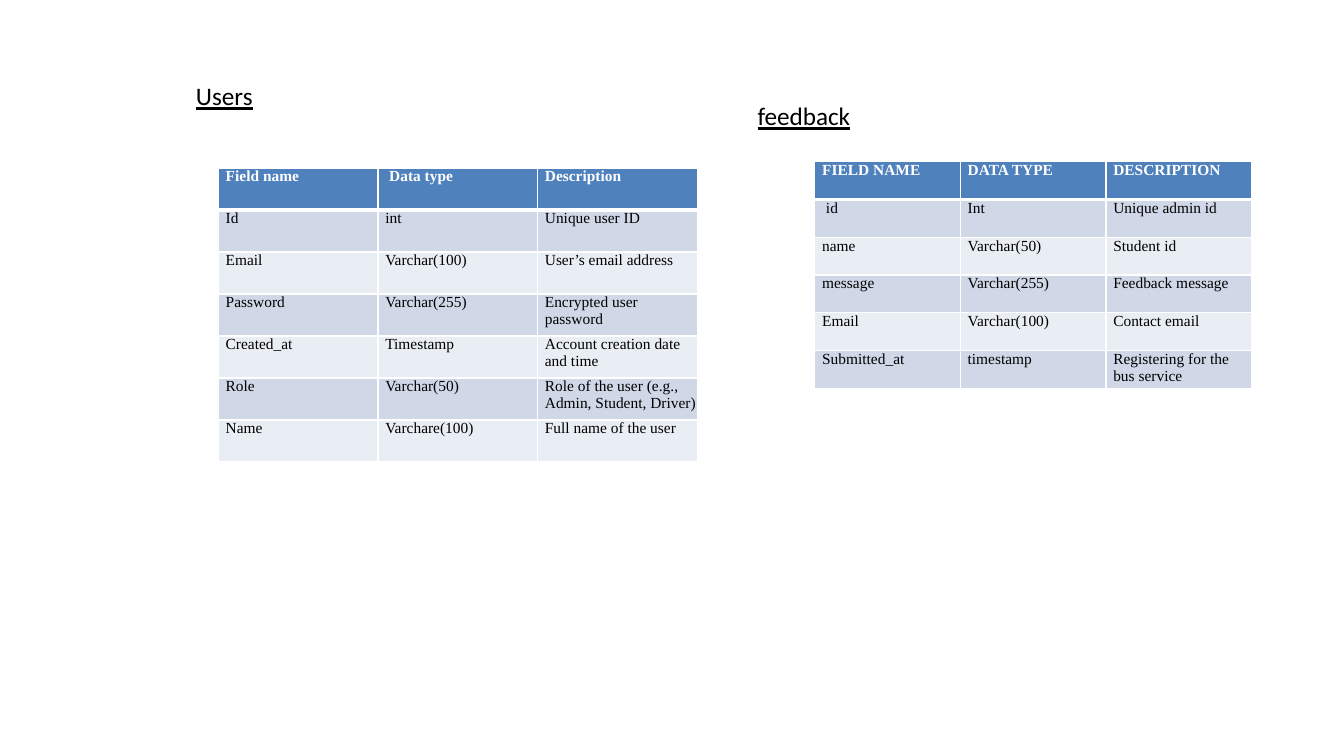
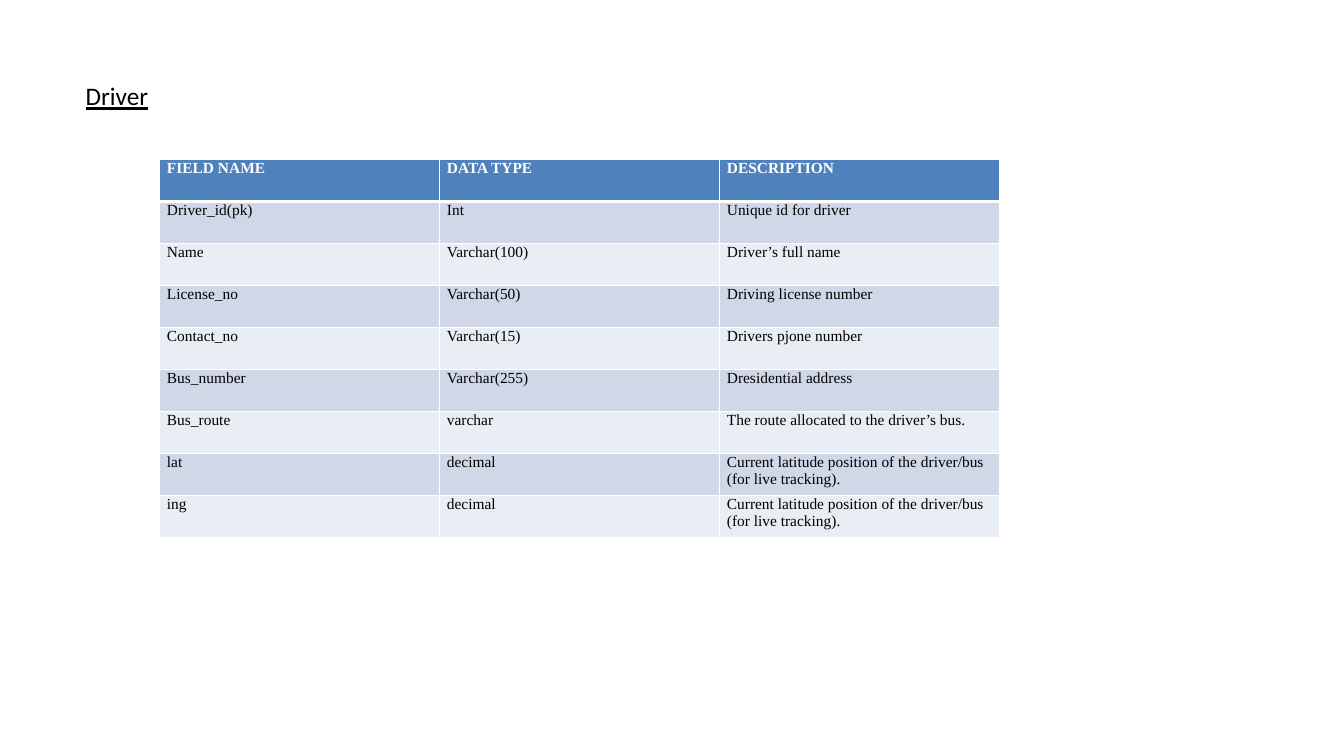
import pptx
import pptx.dml.color
import pptx.enum.text
import pptx.oxml.ns
import pptx.util
from lxml import etree

PX = 9525
TITLE_ONLY = 5

THEME = {
    "header": "4F81BD",
    "bands": ("D0D8E8", "E9EDF4"),
    "rule": "FFFFFF",
    "thin": 1,
    "thick": 3,
    "heading": {"name": "Calibri", "size": 18, "color": "000000", "underline": True},
    "head_cell": {"name": "Times New Roman", "size": 11, "color": "FFFFFF", "bold": True},
    "body_cell": {"name": "Times New Roman", "size": 11, "color": "000000", "bold": False},
    "cell_indent": 7,
    "cell_space": 3.1,
}

CAPS = ("FIELD NAME", "DATA TYPE", "DESCRIPTION")

USERS = {
    "heading": "Users", "heading_box": (112, 72, 576, 38), "heading_indent": 65,
    "table_box": (208, 160, 456, 280),
    "rows": [
        ("Field name", " Data type", "Description"),
        ("Id", "int", "Unique user ID"),
        ("Email", "Varchar(100)", "User’s email address"),
        ("Password", "Varchar(255)", "Encrypted user password"),
        ("Created_at", "Timestamp", "Account creation date and time"),
        ("Role", "Varchar(50)", "Role of the user (e.g., Admin, Student, Driver)"),
        ("Name", "Varchare(100)", "Full name of the user"),
    ],
}
FEEDBACK = {
    "heading": "feedback", "heading_box": (712, 91, 176, 38), "heading_indent": 0,
    "table_box": (776, 154, 416, 216),
    "rows": [
        CAPS,
        (" id", "Int", "Unique admin id"),
        ("name", "Varchar(50)", "Student id"),
        ("message", "Varchar(255)", "Feedback message"),
        ("Email", "Varchar(100)", "Contact email"),
        ("Submitted_at", "timestamp", "Registering for the bus service"),
    ],
}
DRIVER = {
    "heading": "Driver", "heading_box": (72, 72, 616, 38), "heading_indent": 0,
    "table_box": (152, 152, 800, 360),
    "rows": [
        CAPS,
        ("Driver_id(pk)", "Int", "Unique id for driver"),
        ("Name", "Varchar(100)", "Driver’s full name"),
        ("License_no", "Varchar(50)", "Driving license number"),
        ("Contact_no", "Varchar(15)", "Drivers pjone number"),
        ("Bus_number", "Varchar(255)", "Dresidential address"),
        ("Bus_route", "varchar", "The route allocated to the driver’s bus."),
        ("lat", "decimal", "Current latitude position of the driver/bus (for live tracking)."),
        ("ing", "decimal", "Current latitude position of the driver/bus (for live tracking)."),
    ],
}

SLIDES = [(USERS, FEEDBACK), (DRIVER,)]


def emu(box):
    return [px * PX for px in box]


def rgb(value):
    return pptx.dml.color.RGBColor.from_string(value)


def write(tf, text, style, indent=0):
    """Put one left-aligned line of styled text in a text frame."""
    p = tf.paragraphs[0]
    p.alignment = pptx.enum.text.PP_ALIGN.LEFT
    pPr = p._p.get_or_add_pPr()
    pPr.set("marL", str(indent * PX))
    pPr.set("indent", "0")
    r = p.add_run()
    r.text = text
    for name, value in style.items():
        if name == "color":
            r.font.color.rgb = rgb(value)
        else:
            setattr(r.font, name, pptx.util.Pt(value) if name == "size" else value)
    return p


def add_heading(sp, entity):
    sp.left, sp.top, sp.width, sp.height = emu(entity["heading_box"])
    tf = sp.text_frame
    tf.word_wrap = True
    tf.vertical_anchor = pptx.enum.text.MSO_ANCHOR.TOP
    tf.auto_size = pptx.enum.text.MSO_AUTO_SIZE.SHAPE_TO_FIT_TEXT
    write(tf, entity["heading"], THEME["heading"], entity["heading_indent"])


def set_borders(cell, row):
    """Rule all four sides, with a thick rule between the header and the body."""
    qn = pptx.oxml.ns.qn
    tcPr = cell._tc.get_or_add_tcPr()
    for side in "LRTB":
        thick = (row, side) in ((0, "B"), (1, "T"))
        width = pptx.util.Pt(THEME["thick" if thick else "thin"])
        ln = etree.SubElement(tcPr, qn(f"a:ln{side}"), w=str(width))
        fill = etree.SubElement(ln, qn("a:solidFill"))
        etree.SubElement(fill, qn("a:srgbClr"), val=THEME["rule"])


def format_cell(cell, text, row):
    for side in ("left", "top", "right", "bottom"):
        setattr(cell, f"margin_{side}", 0)
    set_borders(cell, row)
    cell.fill.solid()
    cell.fill.fore_color.rgb = rgb(THEME["bands"][(row - 1) % 2] if row else THEME["header"])
    style = THEME["body_cell" if row else "head_cell"]
    p = write(cell.text_frame, text, style, THEME["cell_indent"])
    p.space_before = pptx.util.Pt(THEME["cell_space"])


def add_field_table(s, entity):
    rows = entity["rows"]
    left, top, width, height = emu(entity["table_box"])
    table = s.shapes.add_table(len(rows), len(rows[0]), left, top, width, height).table
    table.horz_banding = False
    for column in table.columns:
        column.width = width // len(rows[0])
    for i, texts in enumerate(rows):
        table.rows[i].height = height // len(rows)
        for j, text in enumerate(texts):
            format_cell(table.cell(i, j), text, i)


def main():
    prs = pptx.Presentation()
    prs.slide_width, prs.slide_height = emu((1280, 720))
    for entities in SLIDES:
        s = prs.slides.add_slide(prs.slide_layouts[TITLE_ONLY])
        for i, entity in enumerate(entities):
            sp = s.shapes.add_textbox(*emu(entity["heading_box"])) if i else s.shapes.title
            add_heading(sp, entity)
            add_field_table(s, entity)
    prs.save("out.pptx")


if __name__ == "__main__":
    main()
